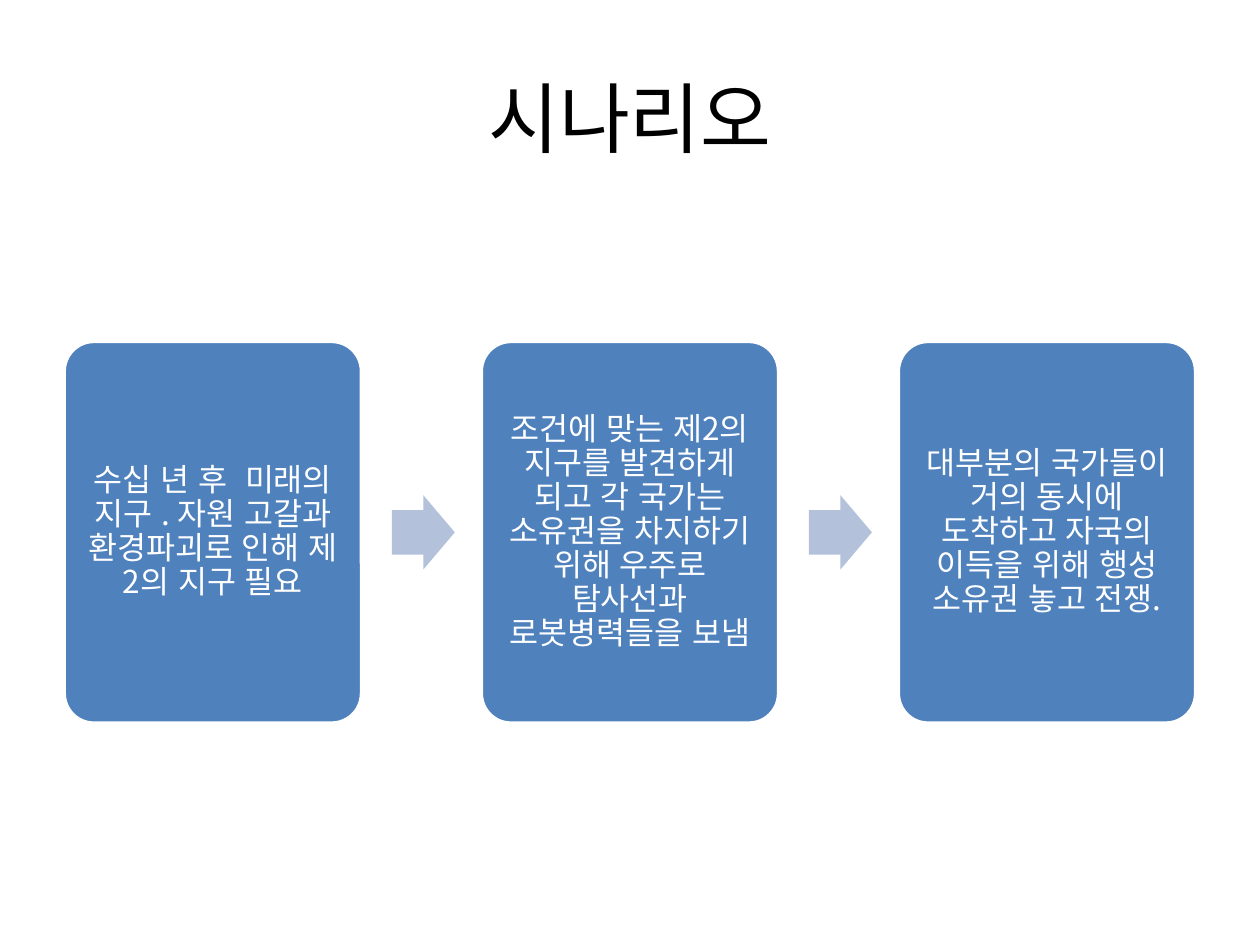
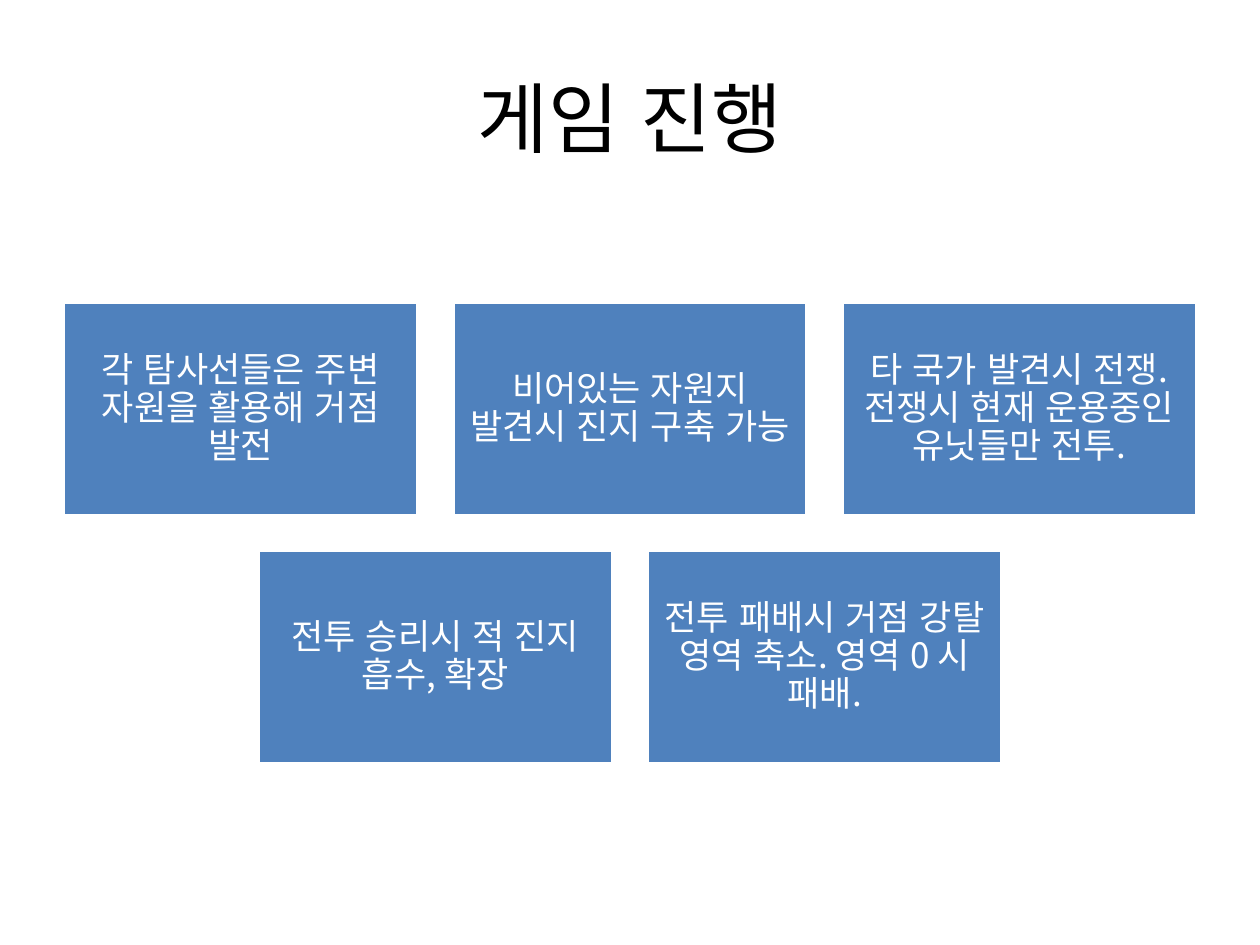
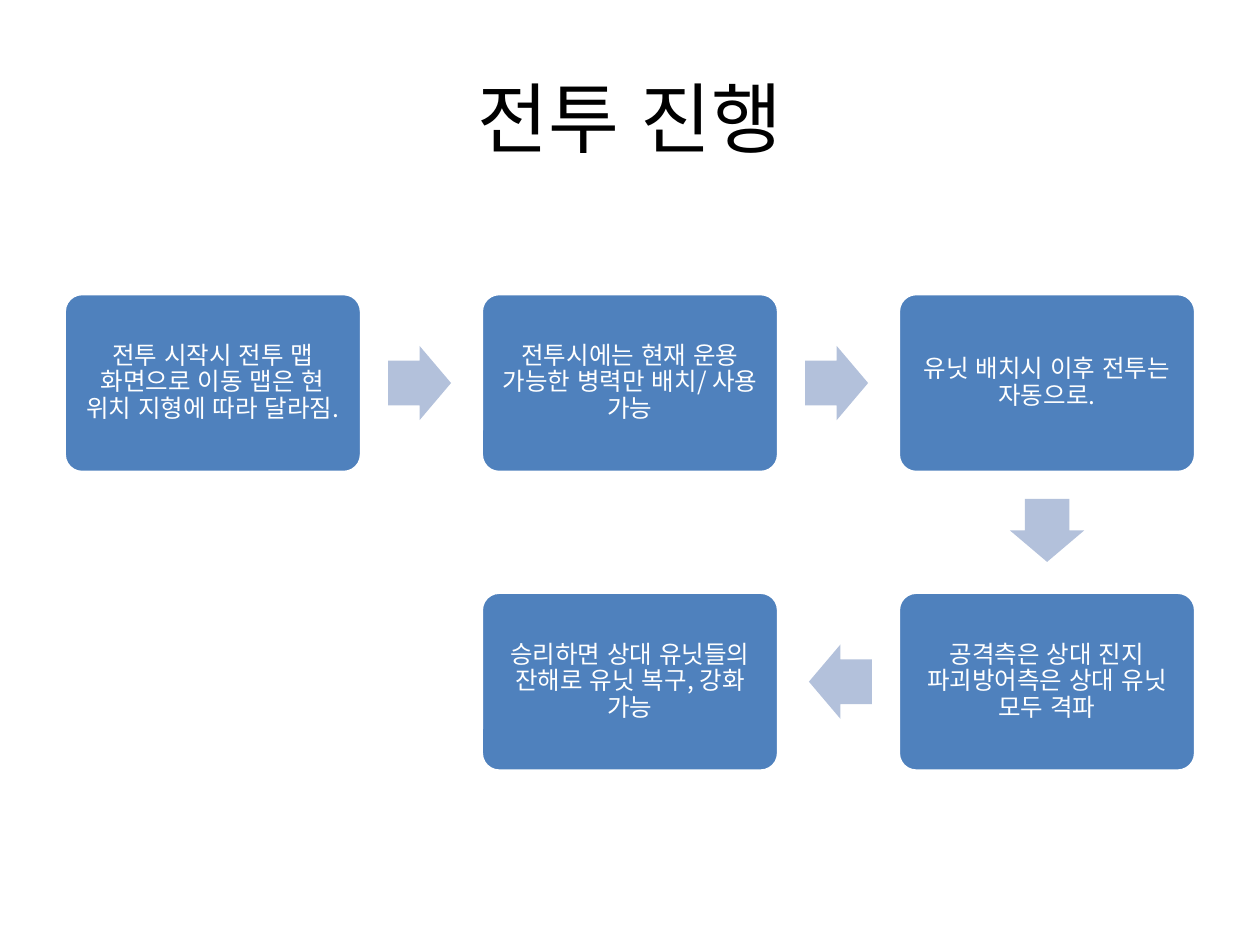
from lxml.etree import SubElement
from pptx import Presentation
from pptx.dml.color import RGBColor
from pptx.enum.lang import MSO_LANGUAGE_ID
from pptx.enum.shapes import MSO_SHAPE
from pptx.enum.text import MSO_ANCHOR, PP_ALIGN
from pptx.oxml.ns import qn
from pptx.util import Inches, Pt

FONT = "Noto Sans CJK KR"
BLACK, WHITE, BLUE, PALE = "000000", "FFFFFF", "4F81BD", "B3C1DB"


def rgb(value):
    """Turn a hex string into a colour."""
    return RGBColor.from_string(value)


def write(tf, text, size, color=WHITE, spacing=None, inset=None):
    """Put one centred line of formatted text in a frame."""
    tf.word_wrap = True
    tf.vertical_anchor = MSO_ANCHOR.MIDDLE
    if inset is not None:
        tf.margin_left = tf.margin_right = Inches(inset)
        tf.margin_top = tf.margin_bottom = Inches(inset)
    p = tf.paragraphs[0]
    p.alignment = PP_ALIGN.CENTER
    p.line_spacing = spacing
    r = p.add_run()
    r.text = text
    r.font.size = Pt(size)
    r.font.name = FONT
    r.font.color.rgb = rgb(color)
    r.font.language_id = MSO_LANGUAGE_ID.KOREAN
    SubElement(r.font._element, qn("a:ea")).set("typeface", FONT)


class Deck:
    """Hold the presentation, its style and the current slide."""

    def __init__(self):
        """Start an empty 10 by 7.5 inch presentation."""
        self.prs = Presentation()
        self.prs.slide_width, self.prs.slide_height = Inches(10), Inches(7.5)

    def slide(self, title):
        """Add a blank slide with its title."""
        self.s = self.prs.slides.add_slide(self.prs.slide_layouts[6])
        tb = self.s.shapes.add_textbox(Inches(0.5), Inches(0.3), Inches(9), Inches(1.25))
        write(tb.text_frame, title, 44, BLACK)

    def shape(self, kind, x, y, w, h, fill):
        """Add a filled preset shape without shadow or line."""
        sp = self.s.shapes.add_shape(kind, Inches(x), Inches(y), Inches(w), Inches(h))
        sp.shadow.inherit = False
        sp.fill.solid()
        sp.fill.fore_color.rgb = rgb(fill)
        sp.line.fill.background()
        return sp

    def box(self, text, x, y, w, h, size, inset, rounded=False):
        """Add a blue box with white text."""
        kind = MSO_SHAPE.ROUNDED_RECTANGLE if rounded else MSO_SHAPE.RECTANGLE
        sp = self.shape(kind, x, y, w, h, BLUE)
        if rounded:
            sp.adjustments[0] = 0.1
        sp.line.color.rgb = rgb(WHITE)
        sp.line.width = Pt(2)
        write(sp.text_frame, text, size, spacing=0.9, inset=inset)

    def arrow(self, cx, cy, angle):
        """Add a pale arrow centred on a point and turned by an angle."""
        w, h = 0.5, 0.59
        sp = self.shape(MSO_SHAPE.RIGHT_ARROW, cx - w / 2, cy - h / 2, w, h, PALE)
        sp.adjustments[0], sp.adjustments[1] = 0.6, 0.5
        sp.rotation = angle

    def flow(self, steps, top, h, size, inset, reach, row_pitch=0):
        """Add rounded boxes on a grid, each with an arrow to the next."""
        left, w, pitch = 0.51, 2.36, 3.31
        turns = {(1, 0): 0, (0, 1): 90, (-1, 0): 180}
        for i, (col, row, text) in enumerate(steps):
            x, y = left + col * pitch, top + row * row_pitch
            self.box(text, x, y, w, h, size, inset, rounded=True)
            if i + 1 < len(steps):
                dx, dy = steps[i + 1][0] - col, steps[i + 1][1] - row
                self.arrow(x + w / 2 + dx * (w / 2 + reach),
                           y + h / 2 + dy * (h / 2 + reach), turns[dx, dy])

    def centred_rows(self, rows, top, w, h, gap):
        """Add rows of boxes, each row centred on the slide."""
        for i, row in enumerate(rows):
            left = (10 - len(row) * w - (len(row) - 1) * gap) / 2
            for j, text in enumerate(row):
                self.box(text, left + j * (w + gap), top + i * (h + gap), w, h, 20, 0.08)


def main():
    """Build the three slides and save them."""
    deck = Deck()

    deck.slide("시나리오")
    scenario = [
        (0, 0, "수십 년 후  미래의 지구 . 자원 고갈과 환경파괴로 인해 제2의 지구 필요"),
        (1, 0, "조건에 맞는 제2의 지구를 발견하게 되고 각 국가는 소유권을 차지하기 "
               "위해 우주로 탐사선과 로봇병력들을 보냄"),
        (2, 0, "대부분의 국가들이 거의 동시에 도착하고 자국의 이득을 위해 행성 소유권 놓고 전쟁."),
    ]
    deck.flow(scenario, top=2.71, h=3.03, size=18, inset=0.07, reach=0.49)

    deck.slide("게임 진행")
    rules = [
        ["각 탐사선들은 주변 자원을 활용해 거점 발전",
         "비어있는 자원지 발견시 진지 구축 가능",
         "타 국가 발견시 전쟁. 전쟁시 현재 운용중인 유닛들만 전투."],
        ["전투 승리시 적 진지 흡수, 확장",
         "전투 패배시 거점 강탈 영역 축소. 영역 0 시 패배."],
    ]
    deck.centred_rows(rules, top=2.4, w=2.81, h=1.69, gap=0.28)

    deck.slide("전투 진행")
    battle = [
        (0, 0, "전투 시작시 전투 맵 화면으로 이동 맵은 현 위치 지형에 따라 달라짐."),
        (1, 0, "전투시에는 현재 운용 가능한 병력만 배치/ 사용 가능"),
        (2, 0, "유닛 배치시 이후 전투는 자동으로."),
        (2, 1, "공격측은 상대 진지 파괴방어측은 상대 유닛 모두 격파"),
        (1, 1, "승리하면 상대 유닛들의 잔해로 유닛 복구, 강화 가능"),
    ]
    deck.flow(battle, top=2.33, h=1.42, size=14, inset=0.06, reach=0.46, row_pitch=2.37)

    deck.prs.save("out.pptx")


if __name__ == "__main__":
    main()
